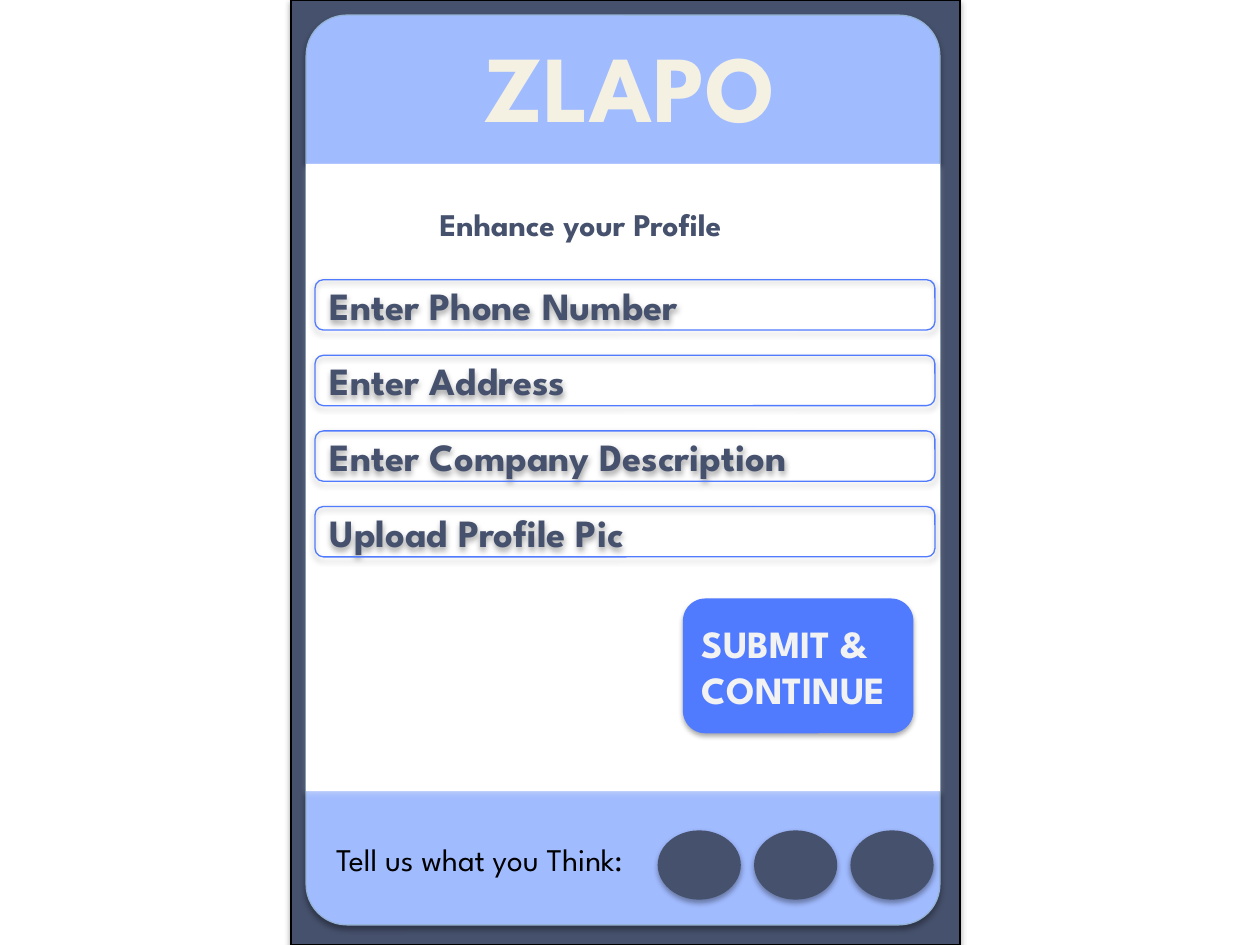
from collections import namedtuple
from dataclasses import dataclass

from lxml import etree
from pptx import Presentation
from pptx import util as u
from pptx.dml.color import RGBColor
from pptx.enum import shapes, text
from pptx.oxml.ns import qn

Box = namedtuple("Box", "left top width height")


@dataclass(frozen=True)
class Theme:
    """Colours, font and type sizes of the app screen."""
    font: str = "League Spartan"
    slate: str = "46516D"
    sky: str = "A1BBFF"
    sky_edge: str = "95B3D7"
    blue: str = "507BFF"
    cream: str = "F4F1E3"
    pale: str = "F2F2F2"
    white: str = "FFFFFF"
    black: str = "000000"
    brand_size: int = 54
    field_size: int = 22
    body_size: int = 18


THEME = Theme()
SHAPE = shapes.MSO_SHAPE
ALIGN = text.PP_ALIGN


def inches(box):
    """Turn a box into four lengths."""
    return [u.Inches(value) for value in box]


def add_shadow(shape, color):
    """Give a shape a soft shadow straight below it."""
    shape.shadow.inherit = False
    effects = shape._element.spPr.find(qn("a:effectLst"))
    shadow = etree.SubElement(effects, qn("a:outerShdw"), blurRad="40000",
                              dist="23000", dir="5400000", rotWithShape="0")
    tint = etree.SubElement(shadow, qn("a:srgbClr"), val=color)
    etree.SubElement(tint, qn("a:alpha"), val="35000")


def add_block(slide, kind, box, fill=None, line=None, shadow=THEME.black):
    """Draw a preset shape with its fill, outline and shadow."""
    block = slide.shapes.add_shape(kind, *inches(box))
    if fill:
        block.fill.solid()
        block.fill.fore_color.rgb = RGBColor.from_string(fill)
    else:
        block.fill.background()
    if line:
        block.line.color.rgb = RGBColor.from_string(line)
        block.line.width = u.Pt(0.75)
    else:
        block.line.fill.background()
    add_shadow(block, shadow)
    return block


def write(shape, words, size=THEME.body_size, color=THEME.slate, bold=True,
          align=ALIGN.LEFT, anchor=text.MSO_ANCHOR.MIDDLE, wrap=True):
    """Put formatted text into a shape."""
    frame = shape.text_frame
    frame.word_wrap = wrap
    frame.auto_size = text.MSO_AUTO_SIZE.NONE
    frame.vertical_anchor = anchor
    paragraph = frame.paragraphs[0]
    paragraph.alignment = align
    run = paragraph.add_run()
    run.text = words
    run.font.name = THEME.font
    run.font.size = u.Pt(size)
    run.font.bold = bold
    run.font.color.rgb = RGBColor.from_string(color)


def add_label(slide, words, box, **style):
    """Add a one-line text box."""
    label = slide.shapes.add_textbox(*inches(box))
    write(label, words, anchor=text.MSO_ANCHOR.TOP, wrap=False, **style)


def draw_screen(slide, box):
    """Draw the device frame, the rounded screen and its white middle."""
    add_block(slide, SHAPE.RECTANGLE, box, THEME.slate, THEME.black)
    left, width = box.left + 0.12, 5.03
    screen = add_block(slide, SHAPE.ROUNDED_RECTANGLE,
                       Box(left, box.top + 0.12, width, 7.22),
                       THEME.sky, THEME.sky_edge)
    screen.adjustments[0] = 0.064
    add_block(slide, SHAPE.RECTANGLE, Box(left, box.top + 1.3, width, 4.98),
              THEME.white, shadow=THEME.pale)


def draw_header(slide, box):
    """Place the app name, in front of the screen."""
    brand = slide.shapes.title
    brand.left, brand.top, brand.width, brand.height = inches(box)
    write(brand, "ZLAPO", size=THEME.brand_size, color=THEME.cream,
          align=ALIGN.CENTER, anchor=text.MSO_ANCHOR.TOP, wrap=False)
    brand.element.getparent().append(brand.element)


def draw_form(slide, box, prompts, pitch=0.6, field_height=0.4):
    """Place the heading, the evenly spaced fields and the button."""
    add_label(slide, "Enhance your Profile",
              Box(box.left + 0.89, box.top, 2.7, 0.4))
    for row, prompt in enumerate(prompts):
        field = add_block(slide, SHAPE.ROUNDED_RECTANGLE,
                          Box(box.left, box.top + 0.64 + row * pitch,
                              box.width, field_height), line=THEME.blue)
        write(field, prompt, size=THEME.field_size)
    width, height = 1.83, 1.07
    button = add_block(slide, SHAPE.ROUNDED_RECTANGLE,
                       Box(box.left + box.width - width - 0.17,
                           box.top + box.height - height, width, height),
                       THEME.blue)
    write(button, "SUBMIT & CONTINUE", size=THEME.field_size,
          color=THEME.pale)


def draw_footer(slide, box, count=3, width=0.66):
    """Place the feedback prompt and its row of round buttons."""
    prompt_width = 2.83
    add_label(slide, "Tell us what you Think:",
              Box(box.left, box.top + 0.03, prompt_width, 0.4),
              color=THEME.black, bold=False, align=ALIGN.CENTER)
    pitch = (box.width - prompt_width - width) / (count - 1)
    for place in range(count):
        add_block(slide, SHAPE.OVAL,
                  Box(box.left + prompt_width + place * pitch, box.top,
                      width, box.height), THEME.slate)


def main():
    """Build the profile screen and save it."""
    deck = Presentation()
    deck.slide_width, deck.slide_height = u.Inches(10), u.Inches(7.5)
    title_only = deck.slide_layouts[5]
    slide = deck.slides.add_slide(title_only)
    draw_screen(slide, Box(2.31, 0, 5.31, 7.5))
    draw_header(slide, Box(3.6, 0.17, 2.8, 1.01))
    draw_form(slide, Box(2.5, 1.58, 4.92, 4.24),
              ["Enter Phone Number", "Enter Address",
               "Enter Company Description", "Upload Profile Pic"])
    draw_footer(slide, Box(2.39, 6.59, 5.02, 0.55))
    deck.save("out.pptx")


main()
